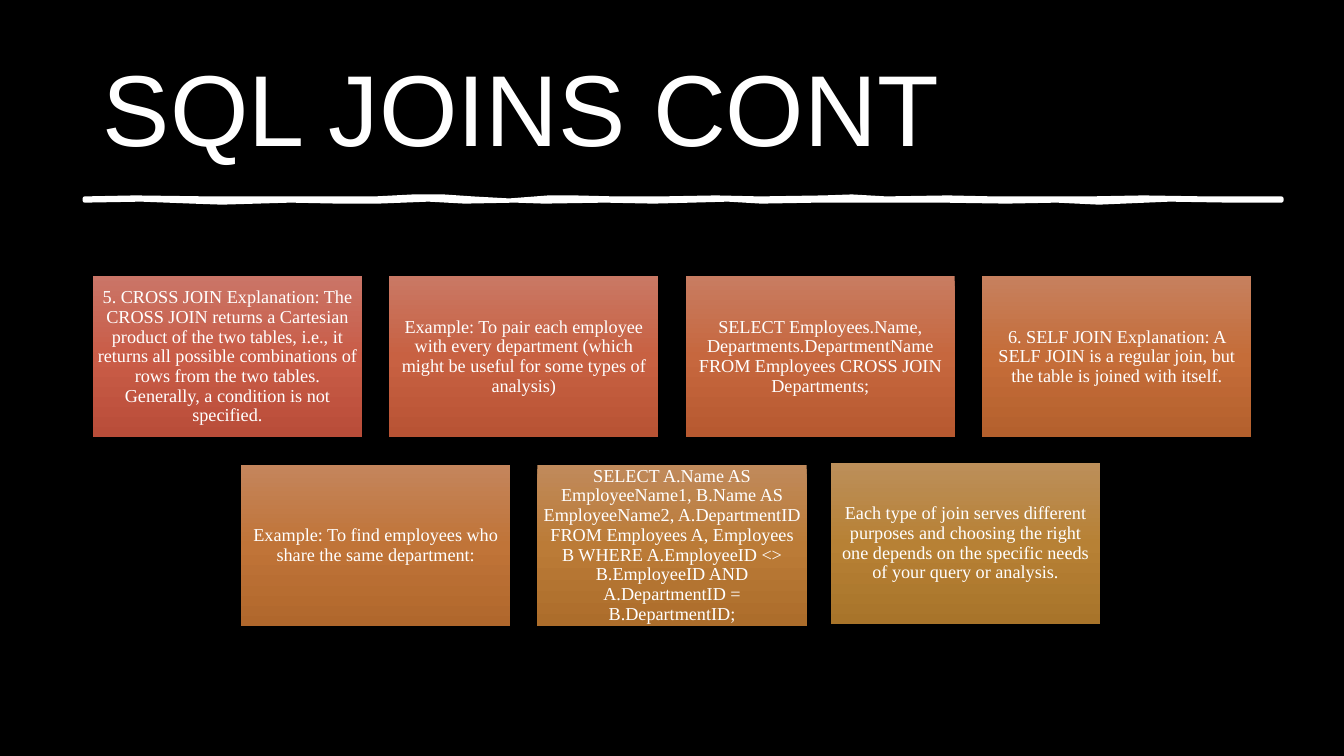
from copy import deepcopy
from dataclasses import dataclass

from pptx import Presentation
from pptx.dml.color import RGBColor
from pptx.enum.shapes import MSO_SHAPE
from pptx.enum.text import MSO_ANCHOR, MSO_AUTO_SIZE, PP_ALIGN
from pptx.util import Inches, Pt


@dataclass(frozen=True)
class Theme:
    background: str = "000000"
    ink: str = "FFFFFF"
    title_font: str = "Arial"
    title_size: int = 72
    card_font: str = "Times New Roman"
    card_size: int = 13
    # Top, middle and bottom colour of each card
    gradients: tuple = (
        ("CA7567", "C95C47", "B94D39"),
        ("C97864", "C86142", "B85334"),
        ("C87C61", "C6673E", "B75930"),
        ("C6805E", "C56D39", "B4602D"),
        ("C4855C", "C07438", "B0672C"),
        ("C08A5B", "BB7B37", "AC6D2B"),
        ("BC8F5A", "B78135", "A8742A"),
    )


THEME = Theme()

CARD_WIDTH, CARD_HEIGHT, CARD_PITCH = 2.67, 1.6, 2.94

# Left and top of each row, then its texts
ROWS = (
    (0.92, 2.74, (
        "5. CROSS JOIN Explanation: The CROSS JOIN returns a Cartesian product of "
        "the two tables, i.e., it returns all possible combinations of rows from "
        "the two tables. Generally, a condition is not specified.",
        "Example: To pair each employee with every department (which might be "
        "useful for some types of analysis)",
        "SELECT Employees.Name, Departments.DepartmentName FROM Employees "
        "CROSS JOIN Departments;",
        "6. SELF JOIN Explanation: A SELF JOIN is a regular join, but the table "
        "is joined with itself.",
    )),
    (2.39, 4.61, (
        "Example: To find employees who share the same department:",
        "SELECT A.Name AS EmployeeName1, B.Name AS EmployeeName2, A.DepartmentID "
        "FROM Employees A, Employees B WHERE A.EmployeeID <> B.EmployeeID AND "
        "A.DepartmentID = B.DepartmentID;",
    )),
    (8.24, 4.59, (
        "Each type of join serves different purposes and choosing the right one "
        "depends on the specific needs of your query or analysis.",
    )),
)

# Upper edge from left to right, lower edge from right to left
BRUSH_OUTLINE = (
    (0.84, 1.97), (1.34, 1.96), (2.08, 1.97), (2.94, 1.97), (3.72, 1.97),
    (4.1, 1.95), (4.4, 1.95), (4.69, 1.97), (5.05, 1.99), (5.44, 1.96),
    (5.7, 1.96), (6.1, 1.97), (6.56, 1.97), (7.1, 1.96), (7.54, 1.97),
    (8.17, 1.96), (8.45, 1.95), (8.79, 1.97), (9.4, 1.96), (9.86, 1.97),
    (10.39, 1.97), (10.8, 1.97), (11.34, 1.96), (11.97, 1.97), (12.71, 1.97),
    (12.71, 1.99), (12.2, 1.99), (11.6, 1.98), (10.9, 2.01), (10.48, 1.99),
    (9.98, 2), (9.35, 1.99), (8.73, 1.99), (8.11, 1.99), (7.55, 2),
    (7.22, 1.98), (6.86, 1.99), (6.48, 2), (6, 1.99), (5.4, 2),
    (5.11, 1.99), (4.61, 2), (4.25, 1.98), (3.75, 2), (3.36, 2),
    (2.88, 1.99), (2.2, 2.01), (1.91, 2), (1.4, 1.98), (0.84, 1.99),
)


def add_text(frame, text, font, size, align):
    frame.word_wrap = True
    frame.auto_size = MSO_AUTO_SIZE.NONE
    frame.vertical_anchor = MSO_ANCHOR.MIDDLE
    paragraph = frame.paragraphs[0]
    paragraph.alignment = align
    paragraph.line_spacing = 0.9
    run = paragraph.add_run()
    run.text = text
    run.font.name = font
    run.font.size = Pt(size)
    run.font.color.rgb = RGBColor.from_string(THEME.ink)
    return paragraph


def add_title(slide, text):
    title = slide.shapes.title
    title.left, title.top = Inches(0.92), Inches(0.4)
    title.width, title.height = Inches(11.5), Inches(1.45)
    add_text(title.text_frame, text, THEME.title_font, THEME.title_size, PP_ALIGN.LEFT)


def add_brush_line(slide):
    points = [(Inches(x), Inches(y)) for x, y in BRUSH_OUTLINE]
    builder = slide.shapes.build_freeform(*points[0])
    builder.add_line_segments(points[1:], close=True)
    brush = builder.convert_to_shape()
    brush.shadow.inherit = False
    brush.fill.solid()
    brush.fill.fore_color.rgb = RGBColor.from_string(THEME.ink)
    brush.line.color.rgb = RGBColor.from_string(THEME.ink)
    brush.line.width = Pt(3)


def fill_gradient(fill, colors):
    fill.gradient()
    fill.gradient_angle = 270  # top to bottom
    # The preset gradient has two stops; a third goes between them
    first = fill.gradient_stops[0]._gs
    first.addnext(deepcopy(first))
    for stop, color, position in zip(fill.gradient_stops, colors, (0, 0.5, 1)):
        stop.color.rgb = RGBColor.from_string(color)
        stop.position = position


def add_card(slide, left, top, text, colors):
    card = slide.shapes.add_shape(
        MSO_SHAPE.RECTANGLE, Inches(left), Inches(top),
        Inches(CARD_WIDTH), Inches(CARD_HEIGHT))
    card.shadow.inherit = False
    card.line.fill.background()
    fill_gradient(card.fill, colors)
    frame = card.text_frame
    frame.margin_left = frame.margin_right = Inches(0.05)
    frame.margin_top = frame.margin_bottom = Inches(0.05)
    paragraph = add_text(frame, text, THEME.card_font, THEME.card_size, PP_ALIGN.CENTER)
    paragraph.space_after = Pt(4.5)


def main():
    deck = Presentation()
    deck.slide_width, deck.slide_height = Inches(13.33), Inches(7.5)
    slide = deck.slides.add_slide(deck.slide_layouts[5])
    slide.background.fill.solid()
    slide.background.fill.fore_color.rgb = RGBColor.from_string(THEME.background)

    # Heading
    add_title(slide, "SQL JOINS CONT")
    add_brush_line(slide)

    # Cards
    gradients = iter(THEME.gradients)
    for left, top, texts in ROWS:
        for column, text in enumerate(texts):
            add_card(slide, left + column * CARD_PITCH, top, text, next(gradients))

    deck.save("out.pptx")


if __name__ == "__main__":
    main()
